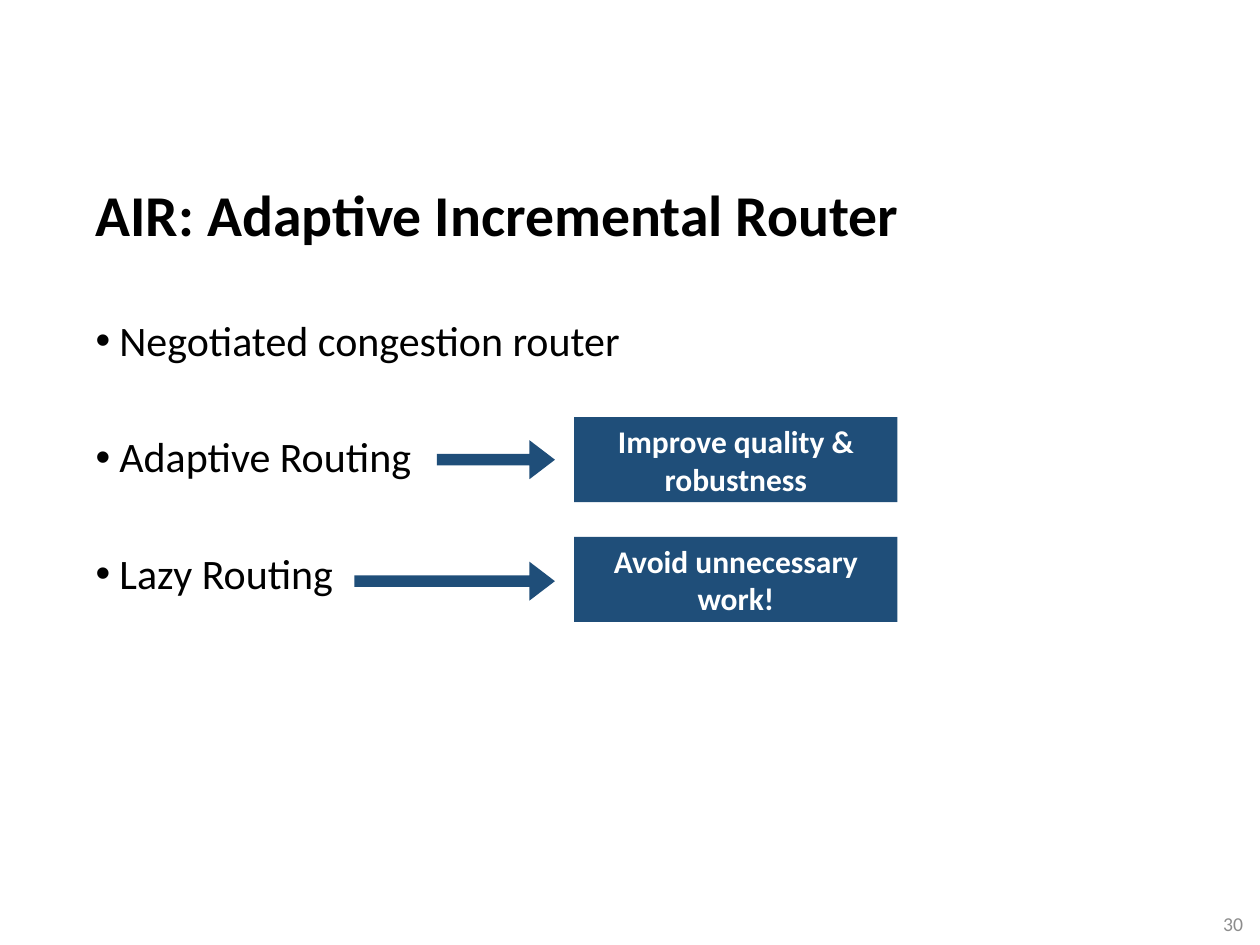
from dataclasses import dataclass

from lxml.etree import SubElement
from pptx import Presentation
from pptx.dml.color import RGBColor
from pptx.enum.shapes import MSO_SHAPE as Preset
from pptx.enum.text import MSO_ANCHOR as Anchor, MSO_AUTO_SIZE as AutoSize, PP_ALIGN as Align
from pptx.oxml.ns import qn
from pptx.shapes.autoshape import Shape
from pptx.slide import Slide
from pptx.util import Pt

COLORS = {"text": "000000", "accent": "1F4E79", "light": "FFFFFF", "number": "8C8C8C"}
FONT = "Calibri"
BULLET_INDENT = 19.4
BULLET_GAP = 58
BENEFIT_LEFT, BENEFIT_WIDTH, BENEFIT_HEIGHT = 466.6, 262.8, 69.1
ARROW_RIGHT, ARROW_HEIGHT = 451, 31.7


@dataclass
class Box:
    left: float
    top: float
    width: float
    height: float

    def lengths(self) -> list[Pt]:
        return [Pt(value) for value in (self.left, self.top, self.width, self.height)]


@dataclass
class Style:
    size: float
    color: str
    bold: bool = False
    align: Align = Align.LEFT
    anchor: Anchor = Anchor.TOP
    line_spacing: float = 1.0
    bullet: bool = False


@dataclass
class Benefit:
    text: str
    top: float
    arrow_left: float
    arrow_top: float


TITLE = Style(46.9, "text", bold=True, anchor=Anchor.MIDDLE, line_spacing=0.9)
BODY = Style(34.1, "text", line_spacing=0.9, bullet=True)
NUMBER = Style(16, "number", align=Align.RIGHT, anchor=Anchor.MIDDLE)
LABEL = Style(25.6, "light", bold=True, align=Align.CENTER, anchor=Anchor.MIDDLE)

TEXTS = [
    (Box(70.6, 126.7, 883.4, 100.1), TITLE, ["AIR: Adaptive Incremental Router"]),
    (Box(70.6, 256.3, 883.4, 555.1), BODY,
     ["Negotiated congestion router", "Adaptive Routing", "Lazy Routing"]),
    (Box(947.5, 730.1, 69.8, 41), NUMBER, ["30"]),
]
BENEFITS = [
    Benefit("Improve quality & robustness", 339.1, 355, 357.8),
    Benefit("Avoid unnecessary work!", 436.3, 288, 456.5),
]


def color(name: str) -> RGBColor:
    return RGBColor.from_string(COLORS[name])


def write(shape: Shape, lines: list[str], style: Style) -> None:
    frame = shape.text_frame
    frame.word_wrap = True
    frame.vertical_anchor = style.anchor
    for index, line in enumerate(lines):
        paragraph = frame.add_paragraph() if index else frame.paragraphs[0]
        paragraph.alignment = style.align
        paragraph.line_spacing = style.line_spacing
        paragraph.space_before = Pt(BULLET_GAP if index else 0)
        if style.bullet:
            properties = paragraph._p.get_or_add_pPr()
            properties.set("marL", str(Pt(BULLET_INDENT)))
            properties.set("indent", str(-Pt(BULLET_INDENT)))
            SubElement(properties, qn("a:buFont"), typeface="Arial")
            SubElement(properties, qn("a:buChar"), char="•")
        run = paragraph.add_run()
        run.text = line
        run.font.name = FONT
        run.font.size = Pt(style.size)
        run.font.bold = style.bold
        run.font.color.rgb = color(style.color)


def add_accent(slide: Slide, preset: Preset, box: Box) -> Shape:
    shape = slide.shapes.add_shape(preset, *box.lengths())
    shape.shadow.inherit = False
    shape.fill.solid()
    shape.fill.fore_color.rgb = color("accent")
    shape.line.fill.background()
    return shape


def add_benefit(slide: Slide, benefit: Benefit) -> None:
    label = add_accent(slide, Preset.RECTANGLE,
                       Box(BENEFIT_LEFT, benefit.top, BENEFIT_WIDTH, BENEFIT_HEIGHT))
    write(label, [benefit.text], LABEL)
    label.text_frame.auto_size = AutoSize.SHAPE_TO_FIT_TEXT
    arrow = add_accent(slide, Preset.RIGHT_ARROW,
                       Box(benefit.arrow_left, benefit.arrow_top,
                           ARROW_RIGHT - benefit.arrow_left, ARROW_HEIGHT))
    arrow.adjustments[0] = 0.295
    arrow.adjustments[1] = 0.654


def main() -> None:
    presentation = Presentation()
    presentation.slide_width = Pt(1024)
    presentation.slide_height = Pt(768)
    slide = presentation.slides.add_slide(presentation.slide_layouts[6])

    # Title, bullets and slide number
    for box, style, lines in TEXTS:
        write(slide.shapes.add_textbox(*box.lengths()), lines, style)

    # Benefit labels with their arrows
    for benefit in BENEFITS:
        add_benefit(slide, benefit)

    presentation.save("out.pptx")


if __name__ == "__main__":
    main()
